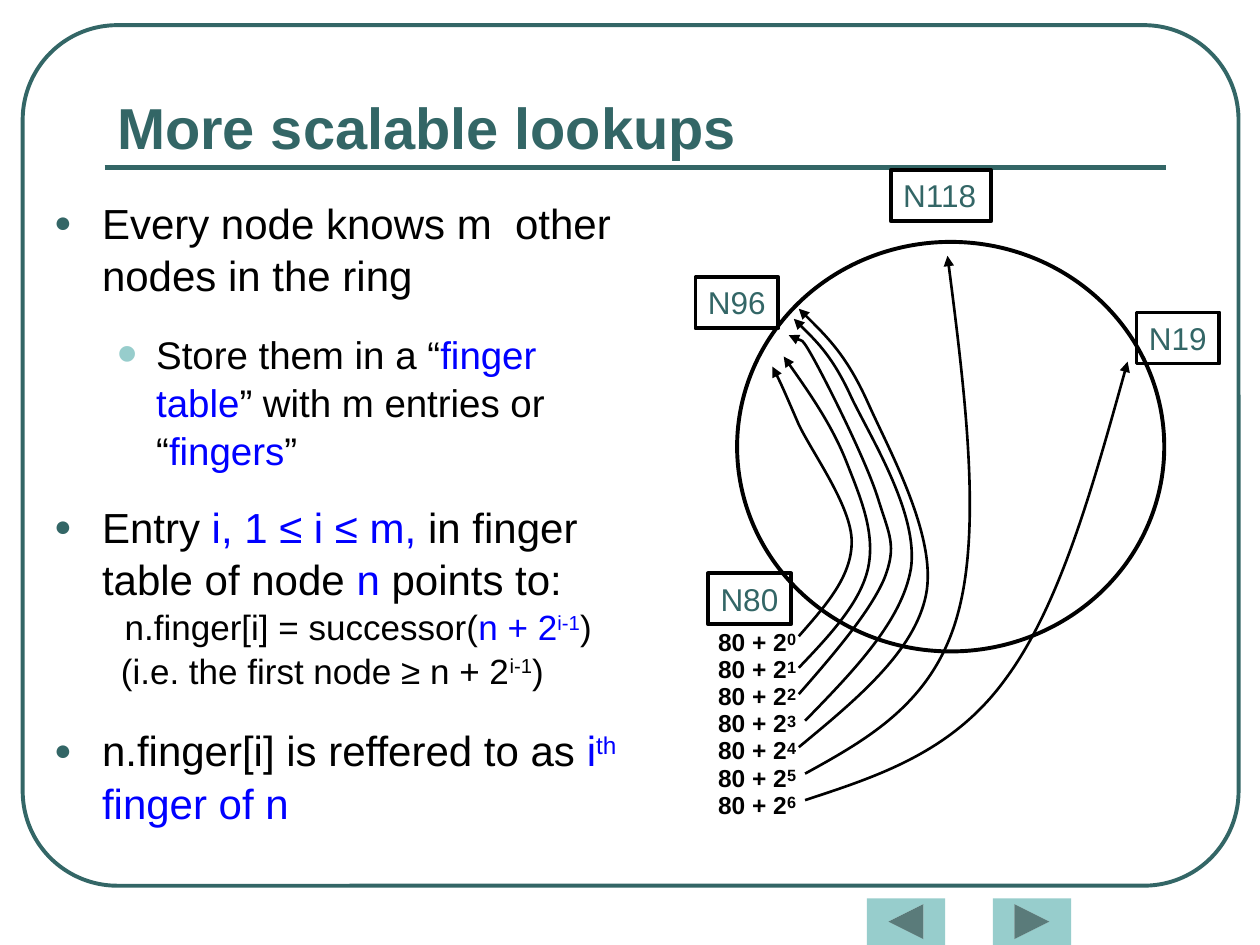
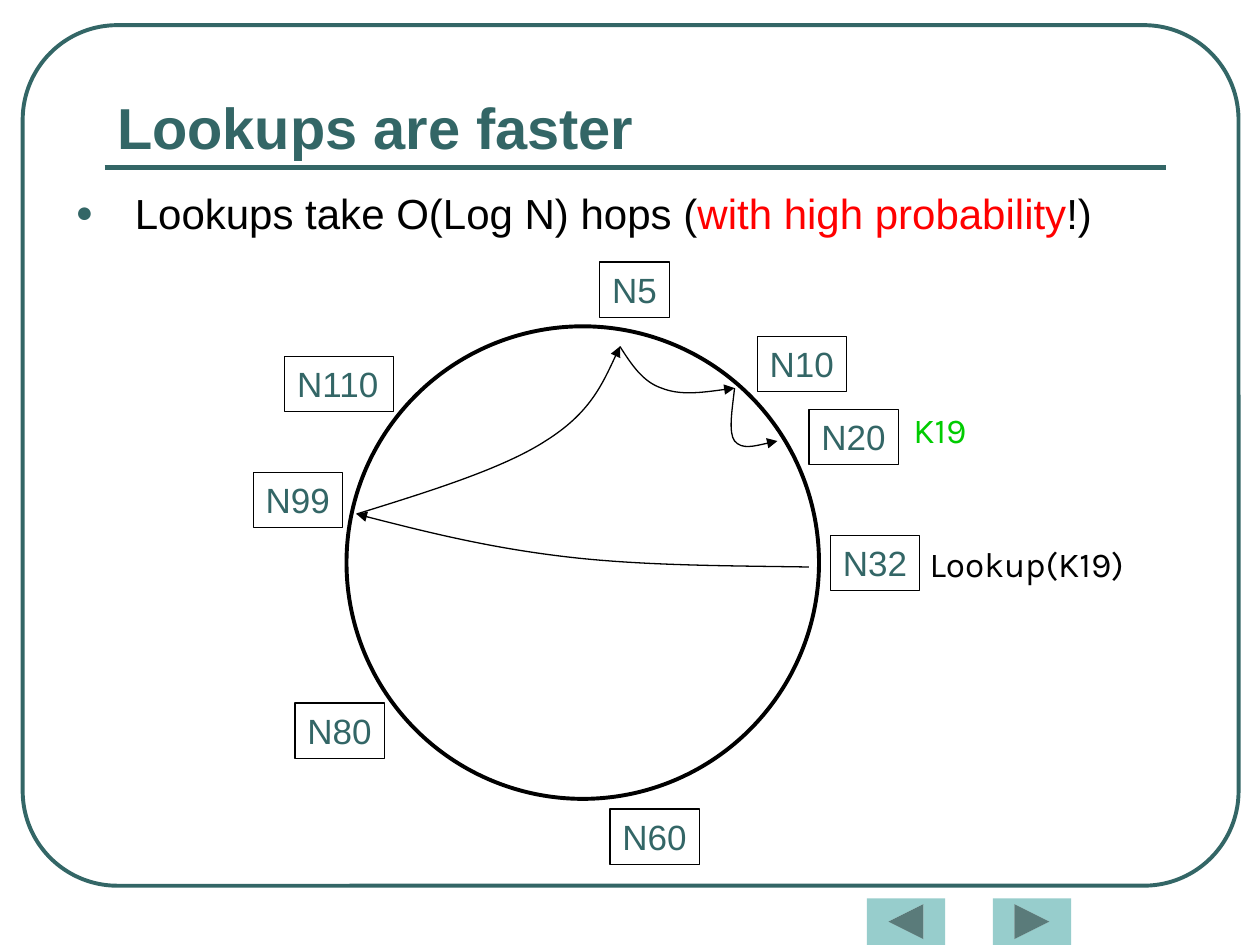
from dataclasses import dataclass

from lxml import etree
from pptx import Presentation
from pptx.dml.color import RGBColor
from pptx.enum import shapes, text
from pptx.oxml import ns
from pptx.util import Inches, Pt


@dataclass(frozen=True)
class Theme:
    font: str = "Arial"
    mono: str = "Karla"
    teal: str = "336666"
    aqua: str = "97CDCC"
    ink: str = "000000"
    blue: str = "0000FF"
    red: str = "FF0000"
    green: str = "00CC00"
    title: float = 33
    body: float = 24
    sub: float = 22
    formula: float = 20
    finger: float = 14
    exponent: float = 16
    ring_line: float = 2.25
    line_spacing: float = 1.04


T = Theme()
SHAPE = shapes.MSO_SHAPE

# Paragraph kinds: left margin, first-line offset, size, bullet (char, colour, percent)
DOT = ("●", T.teal, 70)
KINDS = {
    "point": (0.38, -0.38, T.body, DOT),
    "wide point": (0.47, -0.47, T.body, DOT),
    "sub": (0.81, -0.31, T.sub, ("•", T.aqua, 150)),
    "formula": (0.56, 0, T.formula, None),
    "remark": (0.53, 0, T.formula, None),
}

# Paragraphs: kind, space before, runs of (text, colour, raised percent)
SCALABLE = {
    "title": "More scalable lookups",
    "body_at": (0.33, 1.5, 4.83, 5.5),
    "body": [
        ("point", 18, [("Every node knows m  other nodes in the ring",)]),
        ("sub", 16.5, [("Store them in a “",), ("finger table", T.blue),
                       ("” with m entries or “",), ("fingers", T.blue), ("”",)]),
        ("point", 15, [("Entry ",), ("i, 1 ≤ i ≤ m,", T.blue),
                       (" in finger table of node ",), ("n", T.blue), (" points to:",)]),
        ("formula", 0, [("n.finger[i] = successor(",), ("n + 2", T.blue),
                        ("i-1", T.blue, 30), (")",)]),
        ("remark", 0, [("(i.e. the first node ≥ n + 2",), ("i-1", T.ink, 30), (")",)]),
        ("point", 18, [("n.finger[i] is reffered to as ",), ("i", T.blue),
                       ("th", T.blue, 30), (" finger of n", T.blue)]),
    ],
    "ring": (5.85, 1.92, 3.39, 3.25),
    "node_size": 18,
    "node_line": 2.25,
    "nodes": {"N80": (5.62, 4.55), "N118": (7.07, 1.35),
              "N96": (5.52, 2.2), "N19": (9.02, 2.48)},
    "curve_line": 1.5,
    # Start point, then three points for each Bézier segment
    "curves": [
        [(6.34, 5.05), (6.55, 4.81), (6.76, 4.58), (6.76, 4.3), (6.76, 4.02),
         (6.45, 3.6), (6.34, 3.37), (6.24, 3.14), (6.19, 3.02), (6.13, 2.91)],
        [(6.34, 5.3), (6.59, 5.04), (6.83, 4.78), (6.89, 4.51), (6.95, 4.23),
         (6.83, 3.95), (6.72, 3.67), (6.61, 3.39), (6.42, 3.11), (6.22, 2.83)],
        [(6.34, 5.51), (6.63, 5.18), (6.91, 4.85), (7.02, 4.59), (7.12, 4.33),
         (7.06, 4.25), (6.97, 3.96), (6.88, 3.67), (6.59, 3.09), (6.47, 2.87),
         (6.35, 2.65), (6.29, 2.69), (6.26, 2.66)],
        [(6.39, 5.72), (6.77, 5.33), (7.16, 4.93), (7.23, 4.51), (7.29, 4.08),
         (6.92, 3.49), (6.76, 3.16), (6.61, 2.83), (6.45, 2.68), (6.3, 2.53)],
        [(6.34, 5.93), (6.8, 5.55), (7.26, 5.17), (7.35, 4.72), (7.44, 4.26),
         (7.06, 3.58), (6.89, 3.2), (6.72, 2.82), (6.53, 2.64), (6.34, 2.45)],
        [(6.39, 6.14), (6.9, 5.86), (7.41, 5.57), (7.6, 4.88), (7.79, 4.2),
         (7.66, 3.11), (7.52, 2.03)],
        [(6.39, 6.35), (6.97, 6.16), (7.56, 5.97), (7.98, 5.39), (8.41, 4.81),
         (8.68, 3.84), (8.95, 2.87)],
    ],
}
FINGER_COUNT = 7
FINGER_AT, FINGER_STEP = (5.6, 4.9), 0.215

FASTER = {
    "title": "Lookups are faster",
    "body_at": (0.5, 1.42, 8.42, 4.83),
    "body": [("wide point", 6, [("Lookups take O(Log N) hops (",),
                                ("with high probability", T.red), ("!)",)])],
    "ring": (2.75, 2.59, 3.75, 3.75),
    "node_size": 20,
    "node_line": 0.75,
    "nodes": {"N32": (6.59, 4.25), "N10": (6.01, 2.67), "N5": (4.76, 2.08),
              "N20": (6.42, 3.25), "N110": (2.26, 2.83), "N99": (2.01, 3.75),
              "N80": (2.34, 5.58), "N60": (4.84, 6.42)},
    "curve_line": 0.75,
    "curves": [
        [(6.42, 4.5), (5.76, 4.49), (5.1, 4.49), (4.5, 4.42), (3.9, 4.35),
         (3.37, 4.22), (2.83, 4.08)],
        [(2.83, 4.08), (3.41, 3.9), (3.99, 3.72), (4.33, 3.5), (4.68, 3.28),
         (4.8, 3.01), (4.92, 2.75)],
        [(4.92, 2.75), (5.01, 2.89), (5.1, 3.03), (5.25, 3.08), (5.4, 3.14),
         (5.62, 3.11), (5.83, 3.08)],
        [(5.83, 3.08), (5.81, 3.26), (5.78, 3.43), (5.83, 3.5), (5.89, 3.57),
         (6.03, 3.53), (6.17, 3.5)],
    ],
}
KEY_LABELS = [("Lookup(K19)", (7.28, 4.26, 1.83, 0.44), T.ink),
              ("K19", (7.15, 3.19, 0.69, 0.44), T.green)]


def rgb(color):
    return RGBColor.from_string(color)


def inches(values):
    return [Inches(v) for v in values]


def sub(parent, tag, **attrs):
    return etree.SubElement(parent, ns.qn(tag), attrs)


def add_run(p, words, size, color=T.ink, raised=0, bold=False, font=T.font):
    r = p.add_run()
    r.text = words
    r.font.size, r.font.name, r.font.bold = Pt(size), font, bold
    r.font.color.rgb = rgb(color)
    if raised:
        r.font._element.set("baseline", str(raised * 1000))


def outline(sp, color, width):
    """Leave the shape hollow, with a plain line."""
    sp.shadow.inherit = False
    sp.fill.background()
    sp.line.color.rgb = rgb(color)
    sp.line.width = Pt(width)


def label_paragraph(sp):
    """Set up a one-line label and return its paragraph."""
    tf = sp.text_frame
    tf.word_wrap = False
    tf.auto_size = text.MSO_AUTO_SIZE.SHAPE_TO_FIT_TEXT
    tf.vertical_anchor = text.MSO_ANCHOR.TOP
    p = tf.paragraphs[0]
    p.alignment = text.PP_ALIGN.LEFT
    return p


def add_frame(s):
    """Draw the border, title rule and navigation buttons."""
    border = s.shapes.add_shape(SHAPE.ROUNDED_RECTANGLE, *inches((0.18, 0.2, 9.65, 6.83)))
    border.adjustments[0] = 0.11
    outline(border, T.teal, 2.25)
    rule = s.shapes.add_connector(shapes.MSO_CONNECTOR.STRAIGHT,
                                  *inches((0.83, 1.33, 9.25, 1.33)))
    rule.line.color.rgb = rgb(T.teal)
    rule.line.width = Pt(3)
    sub(rule._element.spPr, "a:effectLst")
    for left, kind in ((6.88, SHAPE.ACTION_BUTTON_BACK_OR_PREVIOUS),
                       (7.88, SHAPE.ACTION_BUTTON_FORWARD_OR_NEXT)):
        button = s.shapes.add_shape(kind, *inches((left, 7.13, 0.62, 0.37)))
        button.shadow.inherit = False
        button.fill.solid()
        button.fill.fore_color.rgb = rgb(T.aqua)
        button.line.fill.background()


def place(sp, at):
    sp.left, sp.top, sp.width, sp.height = inches(at)
    sp.text_frame.auto_size = text.MSO_AUTO_SIZE.NONE
    return sp.text_frame


def format_paragraph(p, kind, before):
    margin, offset, size, bullet = KINDS[kind]
    p.level = 1 if kind == "sub" else 0
    p.alignment = text.PP_ALIGN.LEFT
    p.line_spacing = T.line_spacing
    p.space_before = Pt(before)
    pPr = p._p.get_or_add_pPr()
    pPr.set("marL", str(Inches(margin)))
    pPr.set("indent", str(Inches(offset)))
    if bullet:
        char, color, percent = bullet
        sub(sub(pPr, "a:buClr"), "a:srgbClr", val=color)
        sub(pPr, "a:buSzPct", val=str(percent * 1000))
        sub(pPr, "a:buFont", typeface=T.font)
        sub(pPr, "a:buChar", char=char)
    else:
        sub(pPr, "a:buNone")
    return size


def fill_placeholders(s, content):
    tf = place(s.shapes.title, (0.83, 0.58, 8.42, 0.75))
    tf.vertical_anchor = text.MSO_ANCHOR.BOTTOM
    tf.paragraphs[0].alignment = text.PP_ALIGN.LEFT
    add_run(tf.paragraphs[0], content["title"], T.title, T.teal, bold=True)

    tf = place(s.placeholders[1], content["body_at"])
    for i, (kind, before, runs) in enumerate(content["body"]):
        p = tf.add_paragraph() if i else tf.paragraphs[0]
        size = format_paragraph(p, kind, before)
        for words, *style in runs:
            add_run(p, words, size, *style)


def add_node(s, name, at, size, line):
    """Draw a box sized to its label: one capital N and some digits."""
    width = 0.2 + (0.72 + 0.556 * (len(name) - 1)) * size / 72
    height = 0.1 + 1.22 * size / 72
    box = s.shapes.add_shape(SHAPE.RECTANGLE, *inches((*at, width, height)))
    outline(box, T.ink, line)
    add_run(label_paragraph(box), name, size, T.teal)


def add_curve(s, points, width):
    """Draw a Bézier arrow: each three points after the first make a segment."""
    start, *rest = [tuple(inches(pt)) for pt in points]
    builder = s.shapes.build_freeform(*start)
    builder.add_line_segments(rest, close=False)
    curve = builder.convert_to_shape()
    outline(curve, T.ink, width)
    outline_path = curve._element.xpath(".//a:path")[0]
    steps = outline_path.findall(ns.qn("a:lnTo"))
    for i in range(0, len(steps), 3):
        bezier = sub(outline_path, "a:cubicBezTo")
        for step in steps[i:i + 3]:
            bezier.append(step[0])
            outline_path.remove(step)
    sub(curve.line._get_or_add_ln(), "a:tailEnd", type="triangle")


def add_ring(s, content):
    ring = s.shapes.add_shape(SHAPE.OVAL, *inches(content["ring"]))
    outline(ring, T.ink, T.ring_line)
    for name, at in content["nodes"].items():
        add_node(s, name, at, content["node_size"], content["node_line"])
    for points in content["curves"]:
        add_curve(s, points, content["curve_line"])


def add_label(s, at):
    return label_paragraph(s.shapes.add_textbox(*inches(at)))


def add_slide(prs, content):
    s = prs.slides.add_slide(prs.slide_layouts[1])
    add_frame(s)
    fill_placeholders(s, content)
    add_ring(s, content)
    return s


def main():
    prs = Presentation()
    prs.slide_width, prs.slide_height = inches((10, 7.5))

    s = add_slide(prs, SCALABLE)
    left, top = FINGER_AT
    for power in range(FINGER_COUNT):
        p = add_label(s, (left, top + power * FINGER_STEP, 0.82, 0.37))
        add_run(p, "80 + 2", T.finger, bold=True)
        add_run(p, str(power), T.exponent, raised=20, bold=True)

    s = add_slide(prs, FASTER)
    for words, at, color in KEY_LABELS:
        add_run(add_label(s, at), words, FASTER["node_size"], color, font=T.mono)

    prs.save("out.pptx")


if __name__ == "__main__":
    main()
